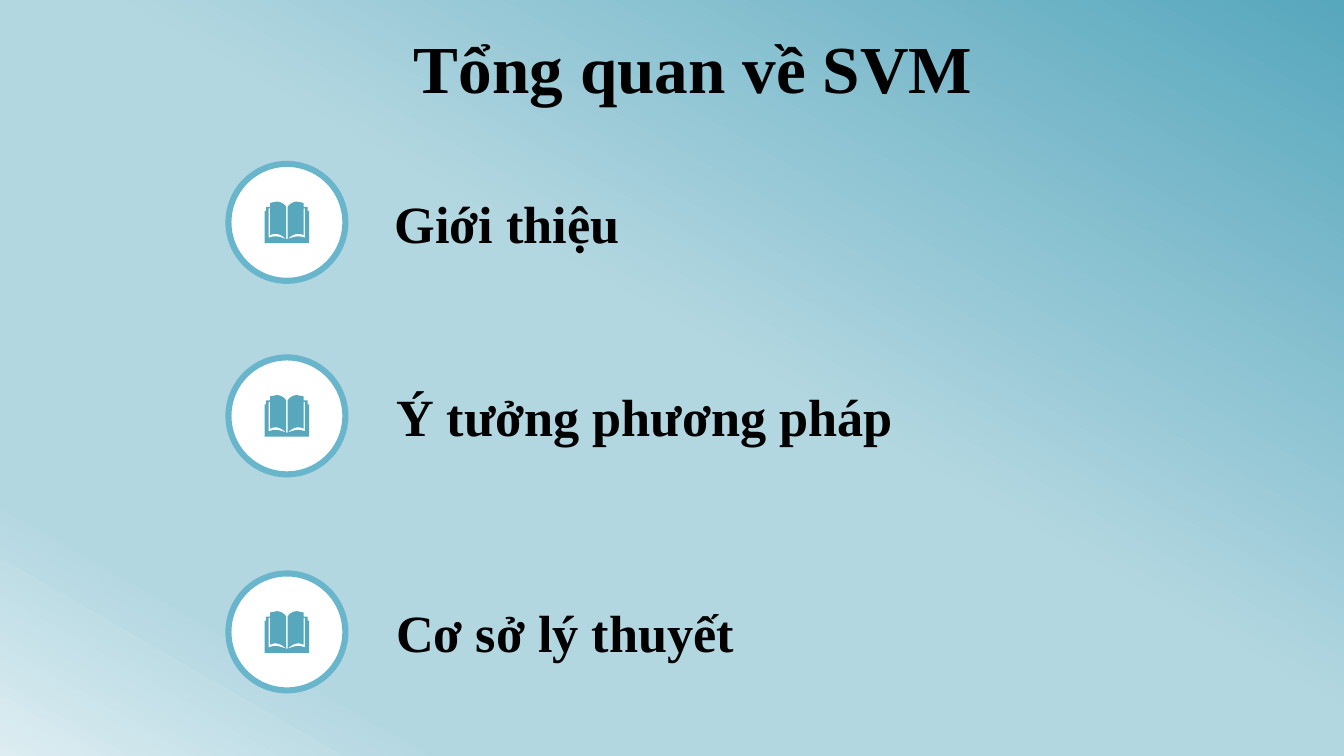
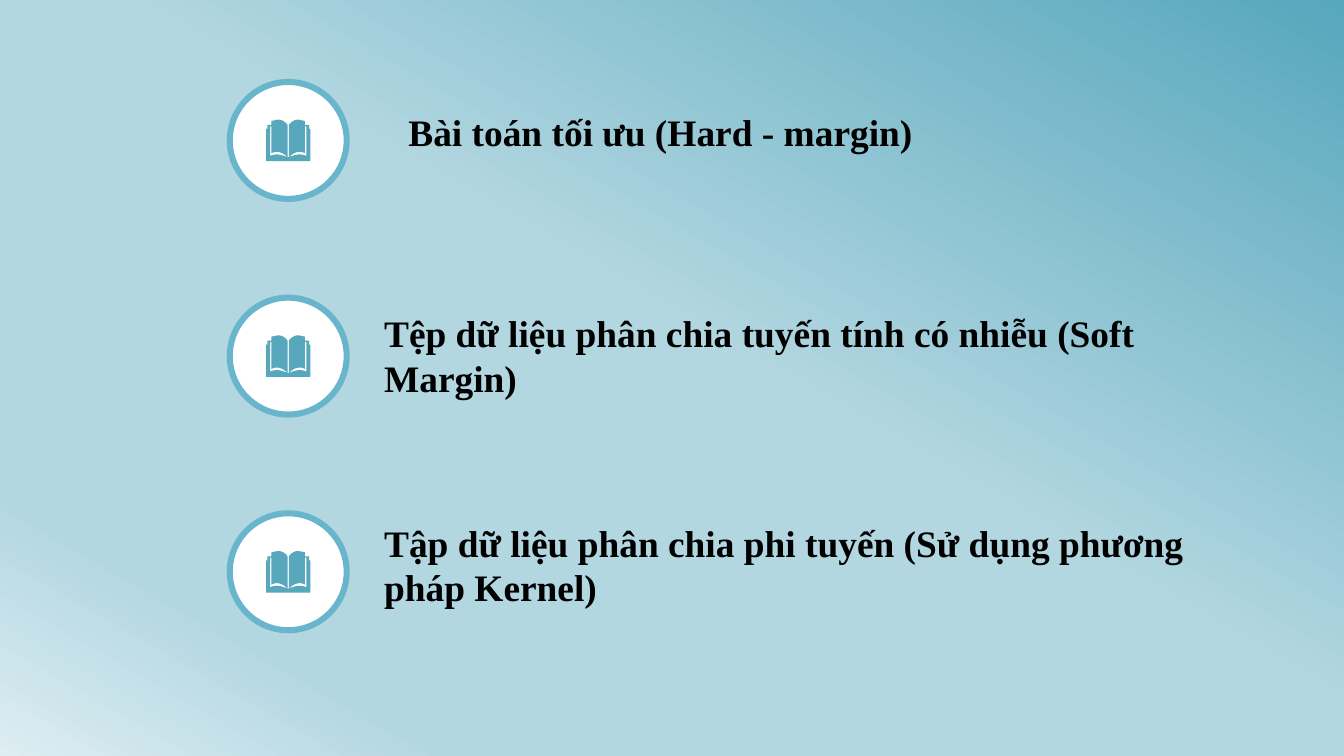
from lxml import etree
from pptx import Presentation
from pptx import util as u
from pptx.dml.color import RGBColor
from pptx.enum import shapes, text
from pptx.oxml.ns import qn

COLORS = {"deep": "57A7BD", "mid": "B3D7E1", "pale": "DDEDF2",
          "ring": "69B6CC", "disc": "FFFFFF", "ink": "000000"}
BACKGROUND = [(0, "deep"), (47, "mid"), (83, "mid"), (100, "pale")]
FONT = "Times New Roman"
W, H = u.Inches(10), u.Inches(5.625)
DISC = 8.7                      # disc diameter, % of slide width
BOOK_W, BOOK_H = 33, 31         # book icon, in thousandths of slide width


def share(x, y):
    """Percentages of slide width and height as lengths."""
    return u.Emu(round(W * x / 100)), u.Emu(round(H * y / 100))


def rgb(name):
    return RGBColor.from_string(COLORS[name])


def curve(p0, p1, p2, p3, steps=8):
    """Points along a cubic Bezier, both ends included."""
    ts = [i / steps for i in range(steps + 1)]
    return [tuple((1 - t) ** 3 * a + 3 * t * (1 - t) ** 2 * b
                  + 3 * t * t * (1 - t) * c + t ** 3 * d
                  for a, b, c, d in zip(p0, p1, p2, p3)) for t in ts]


def book_outline():
    """Right half of an open book, then its mirror image."""
    right = (curve((17, 28), (22, 26), (25, 25), (30, 27))
             + [(30, 5)]
             + curve((29, 25), (25, 23), (21, 24), (17, 28))
             + curve((17, 4), (19, 1), (22, 0), (24, 0))
             + [(29, 1), (29, 4), (32, 4), (32, 7), (33, 7), (33, BOOK_H)])
    # Page edge: up the outside, down the inside
    right.insert(10, (29, 5))
    return right + [(BOOK_W - x, y) for x, y in reversed(right)]


def set_background(master):
    fill = master.background.fill
    fill.gradient()
    fill.gradient_angle = 240
    stops = master.element.find(".//" + qn("a:gsLst"))
    for old in list(stops):
        stops.remove(old)
    for pos, name in BACKGROUND:
        gs = etree.SubElement(stops, qn("a:gs"), pos=str(pos * 1000))
        etree.SubElement(gs, qn("a:srgbClr"), val=COLORS[name])


def write(sp, content, size, anchor=text.MSO_ANCHOR.TOP,
          fit=text.MSO_AUTO_SIZE.SHAPE_TO_FIT_TEXT):
    tf = sp.text_frame
    tf.word_wrap, tf.auto_size, tf.vertical_anchor = True, fit, anchor
    p = tf.paragraphs[0]
    p.alignment = text.PP_ALIGN.LEFT
    r = p.add_run()
    r.text = content
    r.font.name, r.font.size, r.font.bold = FONT, u.Pt(size), True
    r.font.color.rgb = rgb("ink")


def add_title(s, content):
    sp = s.shapes.title
    sp.left, sp.top = share(29.8, 3.2)
    sp.width, sp.height = share(52.7, 11.2)
    write(sp, content, 36, anchor=text.MSO_ANCHOR.MIDDLE,
          fit=text.MSO_AUTO_SIZE.NONE)


def add_label(s, content, size, x, middle, height):
    sp = s.shapes.add_textbox(*share(x, middle - height / 2),
                              *share(64, height))
    write(sp, content, size)


def add_badge(s, x, middle):
    """White ringed disc with a book at its centre."""
    cx, cy = share(x, middle)
    d = share(DISC, 0)[0]
    disc = s.shapes.add_shape(shapes.MSO_SHAPE.OVAL,
                              cx - d // 2, cy - d // 2, d, d)
    disc.fill.solid()
    disc.fill.fore_color.rgb = rgb("disc")
    disc.line.color.rgb = rgb("ring")
    disc.line.width = u.Pt(3.25)
    disc.shadow.inherit = False

    pts = [(x * 100, y * 100) for x, y in book_outline()]
    unit = W / 1000
    builder = s.shapes.build_freeform(*pts[0], scale=unit / 100)
    builder.add_line_segments(pts[1:], close=True)
    book = builder.convert_to_shape(round(cx - BOOK_W * unit / 2),
                                    round(cy - BOOK_H * unit / 2))
    book.fill.solid()
    book.fill.fore_color.rgb = rgb("deep")
    book.line.fill.background()
    book.shadow.inherit = False


def main():
    prs = Presentation()
    prs.slide_width, prs.slide_height = W, H
    set_background(prs.slide_master)

    # Overview: title and first three topics
    s = prs.slides.add_slide(prs.slide_layouts[5])
    add_title(s, "Tổng quan về SVM")
    for content, x, middle in [("Giới thiệu", 28.4, 29.42),
                               ("Ý tưởng phương pháp", 28.5, 55.02),
                               ("Cơ sở lý thuyết", 28.5, 83.6)]:
        add_badge(s, 21.35, middle)
        add_label(s, content, 28, x, middle, 10.13)

    # Remaining topics, evenly spaced: text, left, shift from row, height
    s = prs.slides.add_slide(prs.slide_layouts[6])
    topics = [
        ("Bài toán tối ưu (Hard - margin)", 29.4, -1.16, 7.82),
        ("Tệp dữ liệu phân chia tuyến tính có nhiễu (Soft Margin)",
         27.6, -0.1, 13.69),
        ("Tập dữ liệu phân chia phi tuyến (Sử dụng phương pháp Kernel)",
         27.6, -0.9, 13.69)]
    for i, (content, x, shift, height) in enumerate(topics):
        middle = 18.58 + 28.53 * i
        add_badge(s, 21.45, middle)
        add_label(s, content, 20, x, middle + shift, height)

    prs.save("out.pptx")


if __name__ == "__main__":
    main()
